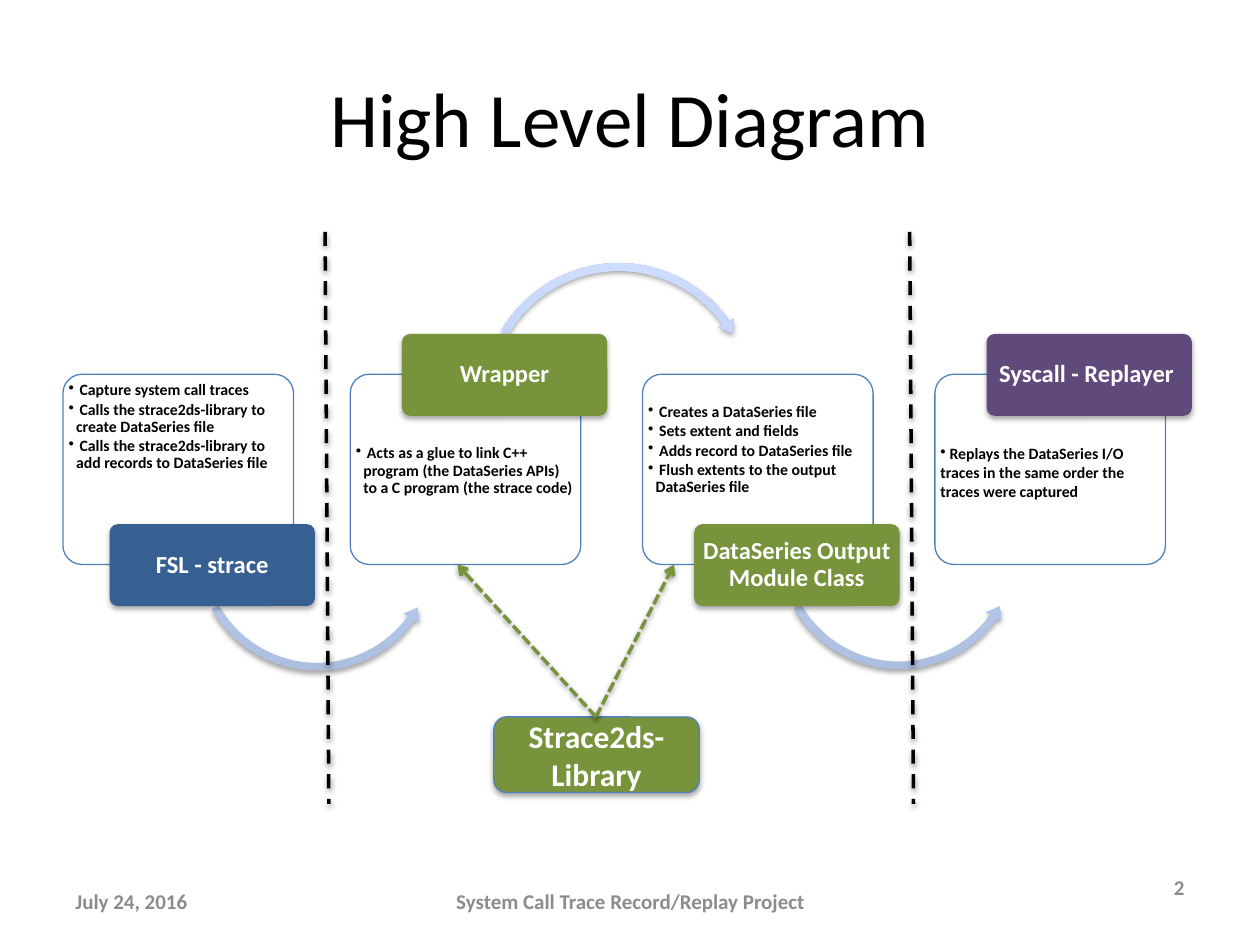
import pptx
import pptx.util
import pptx.dml.color
import pptx.enum.dml
import pptx.enum.shapes
import pptx.enum.text
import pptx.oxml
import pptx.oxml.ns
from dataclasses import dataclass

Inches, Pt = pptx.util.Inches, pptx.util.Pt
SHAPE = pptx.enum.shapes.MSO_SHAPE
DASH = pptx.enum.dml.MSO_LINE
ALIGN = pptx.enum.text.PP_ALIGN
ANCHOR = pptx.enum.text.MSO_ANCHOR
qn = pptx.oxml.ns.qn


@dataclass(frozen=True)
class Theme:
    """Colours and type sizes of the slide."""
    font: str = "Calibri"
    ink: str = "000000"
    paper: str = "FFFFFF"
    outline: str = "4F81BD"
    blue: str = "376092"
    green: str = "77933C"
    purple: str = "604A7B"
    arrow_dark: str = "ADBFE1"
    arrow_light: str = "CCDDFF"
    muted: str = "8C8C8C"
    title: int = 44
    library: int = 18
    tag: int = 14
    footer: int = 12
    body: int = 9


T = Theme()


def rgb(color):
    """Return the colour object of a hex value."""
    return pptx.dml.color.RGBColor.from_string(color)


def add_shadow(sp, alpha=35, dist=23000):
    """Give a shape or connector a soft shadow below it."""
    spPr = sp._element.spPr
    for old in spPr.findall(qn("a:effectLst")):
        spPr.remove(old)
    spPr.append(pptx.oxml.parse_xml(
        '<a:effectLst xmlns:a="http://schemas.openxmlformats.org/drawingml/2006/main">'
        f'<a:outerShdw blurRad="40000" dist="{dist}" dir="5400000" rotWithShape="0">'
        f'<a:srgbClr val="000000"><a:alpha val="{alpha * 1000}"/></a:srgbClr>'
        '</a:outerShdw></a:effectLst>'))


def set_text(tf, lines, size, color, bold=True, align=ALIGN.CENTER,
             anchor=ANCHOR.MIDDLE, spacing=None):
    """Write one paragraph per line and format all of them alike."""
    tf.word_wrap = True
    tf.vertical_anchor = anchor
    tf.text = "\n".join(lines)
    for p in tf.paragraphs:
        p.alignment = align
        if spacing:
            p.line_spacing = spacing
        for r in p.runs:
            r.font.name, r.font.size, r.font.bold = T.font, Pt(size), bold
            r.font.color.rgb = rgb(color)


def set_insets(tf, left, top, right, bottom):
    """Set the four text margins in inches."""
    tf.margin_left, tf.margin_top = Inches(left), Inches(top)
    tf.margin_right, tf.margin_bottom = Inches(right), Inches(bottom)


def add_box(s, box, fill, line=None, radius=0.1):
    """Add a rounded box and return it."""
    sp = s.shapes.add_shape(SHAPE.ROUNDED_RECTANGLE, *map(Inches, box))
    sp.shadow.inherit = False
    sp.adjustments[0] = radius
    sp.fill.solid()
    sp.fill.fore_color.rgb = rgb(fill)
    if line:
        sp.line.color.rgb = rgb(line)
        sp.line.width = Pt(0.75)
    else:
        sp.line.fill.background()
    return sp


def add_card(s, box, lines, top, indent, spacing):
    """Add an outlined card with a bulleted list starting at top."""
    tf = add_box(s, box, T.paper, T.outline).text_frame
    set_insets(tf, 0, top, 0, 0)
    set_text(tf, lines, T.body, T.ink, align=ALIGN.LEFT, anchor=ANCHOR.TOP,
             spacing=spacing)
    for p in tf.paragraphs:
        p.space_after = Pt(1.35)
        pPr = p._p.get_or_add_pPr()
        pPr.set("marL", str(Inches(indent)))
        pPr.set("indent", str(-Inches(indent)))
        bullet = pPr.makeelement(qn("a:buChar"), {"char": "•"})
        pPr.append(bullet)


def add_tag(s, box, label, fill):
    """Add the coloured name tag of a card."""
    sp = add_box(s, box, fill)
    add_shadow(sp)
    set_insets(sp.text_frame, 0.03, 0.02, 0.03, 0.02)
    set_text(sp.text_frame, [label], T.tag, T.paper, spacing=0.9)


def add_curve(s, box, kind, adjustments):
    """Add a curved arrow from one card to the next."""
    sp = s.shapes.add_shape(kind, *map(Inches, box))
    for i, value in enumerate(adjustments):
        sp.adjustments[i] = value
    sp.fill.gradient()
    sp.fill.gradient_angle = 90
    for stop, color, place in zip(sp.fill.gradient_stops,
                                  (T.arrow_dark, T.arrow_light), (0, 1)):
        stop.color.rgb = rgb(color)
        stop.position = place
    sp.line.fill.background()
    add_shadow(sp)


def add_line(s, start, end, color, dash, arrow=False):
    """Add a dashed line, with an arrowhead at its end if wanted."""
    c = s.shapes.add_connector(pptx.enum.shapes.MSO_CONNECTOR.STRAIGHT,
                               *map(Inches, start + end))
    c.line.color.rgb = rgb(color)
    c.line.width = Pt(2)
    c.line.dash_style = dash
    if arrow:
        ln = c.line._get_or_add_ln()
        ln.append(ln.makeelement(qn("a:tailEnd"), {"type": "arrow"}))
    add_shadow(c, 38, 20000)


def add_flow(s, left, top):
    """Add the four stages and the curved arrows between them."""
    low, high = top + 1.19, top - 0.32
    # card offset, card lines, list top, list indent, line spacing, tag, colour, tag top
    stages = [
        (0, [" Capture system call traces",
             " Calls the strace2ds-library to create DataSeries file",
             " Calls the strace2ds-library to add records to DataSeries file"],
         0.02, 0.06, 0.9, "FSL - strace", T.blue, low),
        (2.28, [" Acts as a glue to link C++ program (the DataSeries APIs) "
                "to a C program (the strace code)"],
         0.52, 0.06, 0.9, "Wrapper", T.green, high),
        (4.6, [" Creates a DataSeries file", " Sets extent and fields",
               " Adds record to DataSeries file",
               " Flush extents to the output DataSeries file"],
         0.19, 0.06, 0.9, "DataSeries Output Module Class", T.green, low),
        (6.92, [" Replays the DataSeries I/O traces in the same order the "
                "traces were captured"],
         0.51, 0, 1.0, "Syscall - Replayer ", T.purple, high),
    ]
    under = (SHAPE.LEFT_CIRCULAR_ARROW, (0.03, 3.637, 21.392, 90.245, 0.035))
    over = (SHAPE.CIRCULAR_ARROW, (0.027, 3.23, 195.015, 125.755, 0.031))
    curves = [((left + 1.02, top + 0.4, 1.99, 1.99), *under),
              ((left + 3.3, top - 0.92, 2.22, 2.22), *over),
              ((left + 5.64, top + 0.39, 1.99, 1.99), *under)]
    for i, (dx, lines, inset, indent, spacing, label, fill, tag_top) in enumerate(stages):
        add_card(s, (left + dx, top, 1.83, 1.51), lines, inset, indent, spacing)
        if i < len(curves):
            add_curve(s, *curves[i])
        add_tag(s, (left + 0.37 + 2.32 * i, tag_top, 1.63, 0.65), label, fill)


def add_library(s, left, top):
    """Add the library box and its arrows to the two cards using it."""
    sp = add_box(s, (left, top, 1.63, 0.6), T.green, T.outline, 0.167)
    add_shadow(sp)
    set_text(sp.text_frame, ["Strace2ds-Library"], T.library, T.paper)
    for dx in (0.62, -1.1):
        start = (left + 0.81, top)
        add_line(s, start, (start[0] + dx, top - 1.21), T.green,
                 DASH.SQUARE_DOT, arrow=True)


def add_footer(s, bottom):
    """Add date, project name and slide number above the bottom line."""
    for left, width, height, text, align in (
            (0.5, 2.33, 0.4, "July 24, 2016", ALIGN.LEFT),
            (3.42, 3.17, 0.4, "System Call Trace Record/Replay Project", ALIGN.CENTER),
            (7.04, 2.46, 0.62, "2", ALIGN.RIGHT)):
        sp = s.shapes.add_textbox(*map(Inches, (left, bottom - height, width, height)))
        set_text(sp.text_frame, [text], T.footer, T.muted, align=align)


prs = pptx.Presentation()
prs.slide_width, prs.slide_height = Inches(10), Inches(7.5)
s = prs.slides.add_slide(prs.slide_layouts[5])
title = s.shapes.title
title.left, title.top, title.width, title.height = map(Inches, (0.5, 0.3, 9, 1.25))
set_text(title.text_frame, ["High Level Diagram"], T.title, T.ink, bold=False)
add_flow(s, 0.5, 2.97)
add_library(s, 3.92, 5.69)
add_footer(s, 7.35)
for x in (2.58, 7.22):
    add_line(s, (x, 1.84), (x + 0.03, 6.38), T.ink, DASH.DASH)
prs.save("out.pptx")
